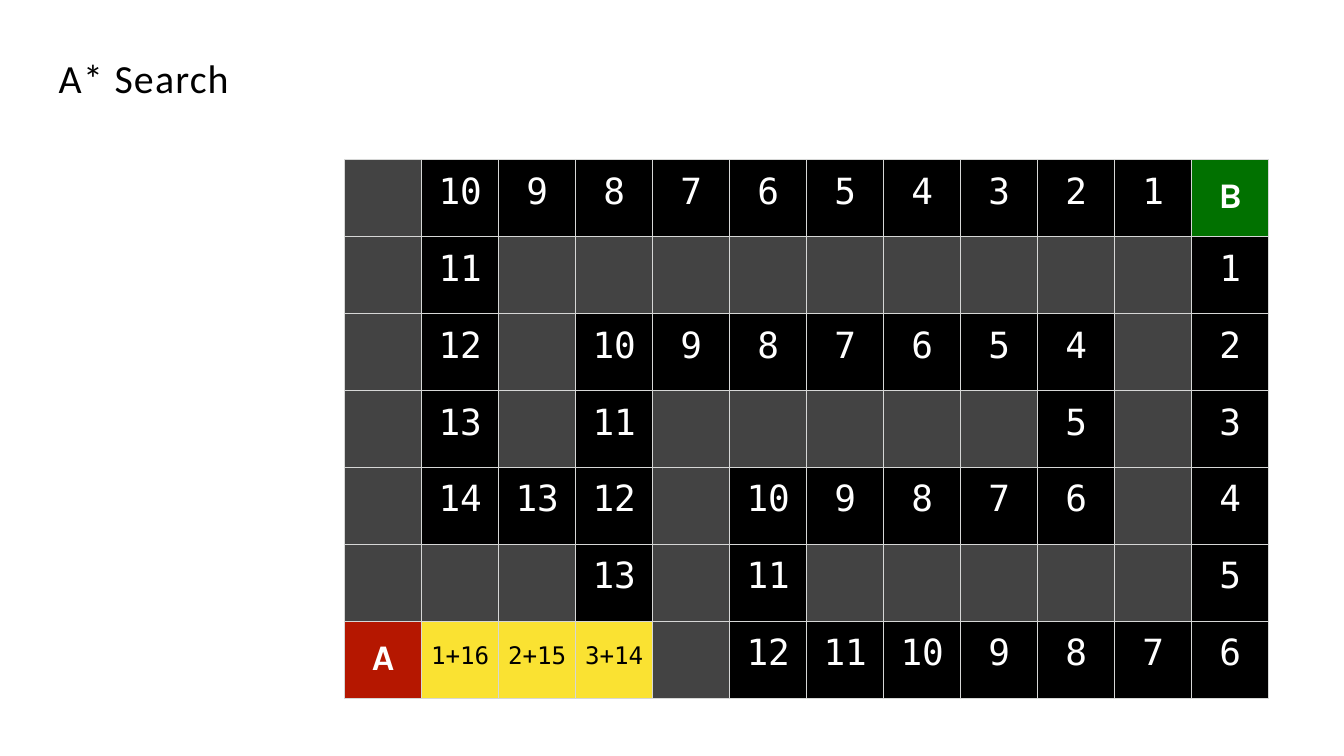
import pptx
import pptx.dml.color
import pptx.enum.text
import pptx.oxml
import pptx.oxml.ns
import pptx.util

TITLE = (("A* ", 150), ("Search", 140))
MAZE = (
    ". 10 9 8 7 6 5 4 3 2 1 B",
    ". 11 . . . . . . . . . 1",
    ". 12 . 10 9 8 7 6 5 4 . 2",
    ". 13 . 11 . . . . . 5 . 3",
    ". 14 13 12 . 10 9 8 7 6 . 4",
    ". . . 13 . 11 . . . . . 5",
    "A 1+16 2+15 3+14 . 12 11 10 9 8 7 6",
)
COLORS = {
    "wall": "434343", "open": "000000", "start": "B51700", "goal": "017100",
    "visited": "FAE232", "border": "D6D7D6", "white": "FFFFFF", "black": "000000",
}
STYLES = {
    "wall": ("DejaVu Sans Mono", 18, "white", 0),
    "open": ("DejaVu Sans Mono", 42.5, "white", 0.18),
    "start": ("Karla", 42.5, "white", 0.26),
    "goal": ("Karla", 42.5, "white", 0.26),
    "visited": ("DejaVu Sans Mono", 28.5, "black", 0.33),
}
WIDTH, HEIGHT = 21.99, 12.37
TABLE_LEFT, TABLE_TOP, CELL = 5.64, 2.61, 1.26
inches = pptx.util.Inches


def rgb(name):
    return pptx.dml.color.RGBColor.from_string(COLORS[name])


def kind_of(label):
    if "+" in label:
        return "visited"
    return {".": "wall", "A": "start", "B": "goal"}.get(label, "open")


def add_span(para, text, font, size, color, bold=False, spacing=0):
    span = para.add_run()
    span.text = text
    span.font.name = font
    span.font.size = pptx.util.Pt(size)
    span.font.bold = bold
    span.font.color.rgb = rgb(color)
    if spacing:
        span._r.get_or_add_rPr().set("spc", str(spacing))


def add_borders(cell):
    properties = cell._tc.get_or_add_tcPr()
    for side in "LRTB":
        properties.append(pptx.oxml.parse_xml(
            f'<a:ln{side} {pptx.oxml.ns.nsdecls("a")} w="12700"><a:solidFill>'
            f'<a:srgbClr val="{COLORS["border"]}"/></a:solidFill></a:ln{side}>'))


def fill_cell(cell, label):
    kind = kind_of(label)
    font, size, color, top = STYLES[kind]
    add_borders(cell)
    cell.fill.solid()
    cell.fill.fore_color.rgb = rgb(kind)
    cell.margin_left = cell.margin_right = cell.margin_bottom = 0
    cell.margin_top = inches(top)
    if kind != "wall":
        para = cell.text_frame.paragraphs[0]
        para.alignment = pptx.enum.text.PP_ALIGN.CENTER
        add_span(para, label, font, size, color, kind in ("start", "goal"))


def add_title(page):
    box = page.shapes.title
    box.left, box.top = inches(0.96), inches(0.86)
    box.width, box.height = inches(3.15), inches(0.81)
    frame = box.text_frame
    frame.margin_left = frame.margin_right = frame.margin_top = frame.margin_bottom = 0
    frame.word_wrap = True
    frame.auto_size = pptx.enum.text.MSO_AUTO_SIZE.SHAPE_TO_FIT_TEXT
    frame.vertical_anchor = pptx.enum.text.MSO_ANCHOR.MIDDLE
    para = frame.paragraphs[0]
    para.alignment = pptx.enum.text.PP_ALIGN.LEFT
    for text, spacing in TITLE:
        add_span(para, text, "Calibri", 47, "black", spacing=spacing)


def add_maze(page):
    labels = [line.split() for line in MAZE]
    rows, columns = len(labels), len(labels[0])
    table = page.shapes.add_table(
        rows, columns, inches(TABLE_LEFT), inches(TABLE_TOP),
        inches(columns * CELL), inches(rows * CELL)).table
    table.first_row = table.horz_banding = False
    for column in table.columns:
        column.width = inches(CELL)
    for row, line in zip(table.rows, labels):
        row.height = inches(CELL)
        for cell, label in zip(row.cells, line):
            fill_cell(cell, label)


def main():
    deck = pptx.Presentation()
    deck.slide_width, deck.slide_height = inches(WIDTH), inches(HEIGHT)
    page = deck.slides.add_slide(deck.slide_layouts[5])
    add_maze(page)
    add_title(page)
    deck.save("out.pptx")


if __name__ == "__main__":
    main()
